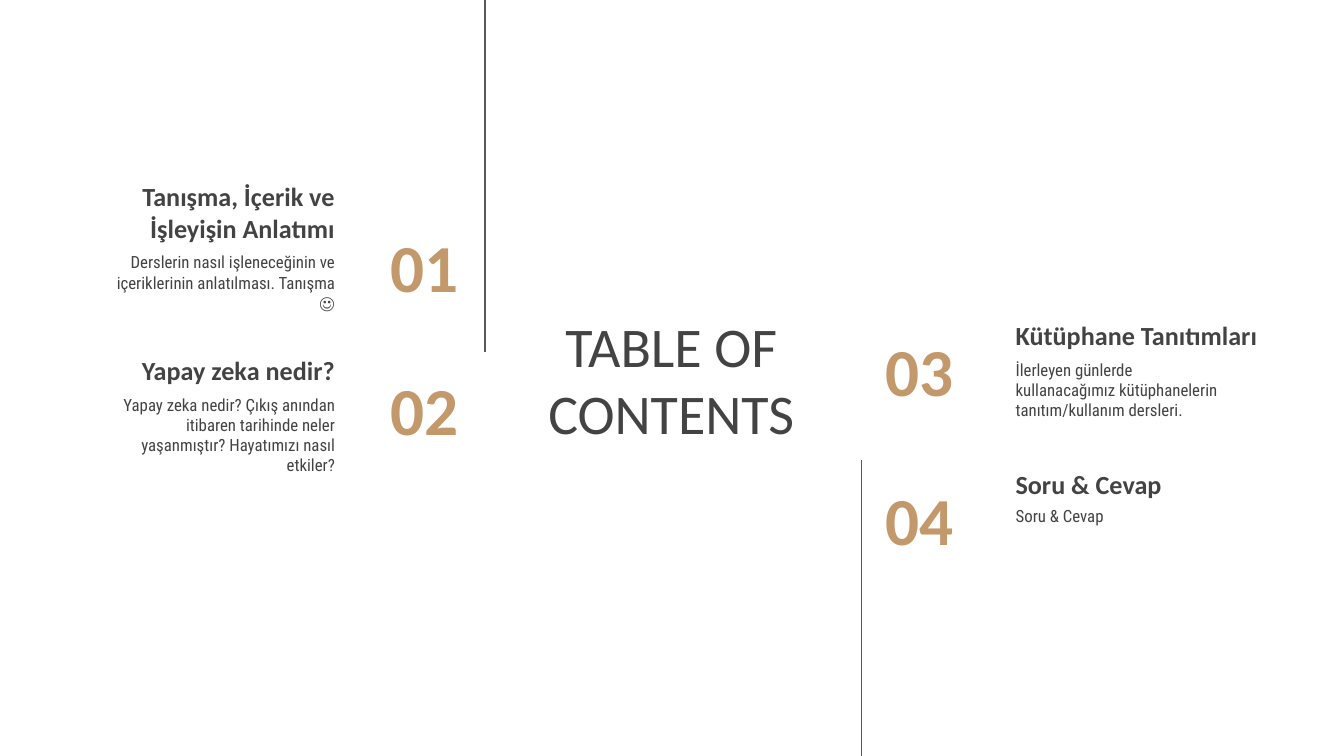
import pptx
import pptx.util
import pptx.dml.color
import pptx.enum.shapes
import pptx.enum.text
import pptx.oxml.ns
import lxml.etree

Pt = pptx.util.Pt
ALIGN = pptx.enum.text.PP_ALIGN
ANCHOR = pptx.enum.text.MSO_ANCHOR

COLORS = {"text": "434343", "number": "C3996C", "line": "595959"}
HEADING_FONT = "Calibri"
BODY_FONT = "Roboto Condensed"
BOX_HEIGHT = 45.5
BODY_OFFSET = 35.6

LEFT = {"align": ALIGN.RIGHT, "heading": (31, 155.5), "body": (47.5, 139),
        "number": (165.5, 87), "number_offset": 27.4}
RIGHT = {"align": ALIGN.LEFT, "heading": (537, 155.5), "body": (537, 132),
         "number": (467.5, 84), "number_offset": 25.2}

SECTIONS = [
    (LEFT, 92.2, "01", "Tanışma, İçerik ve\nİşleyişin Anlatımı",
     "Derslerin nasıl işleneceğinin ve içeriklerinin anlatılması. Tanışma ☺"),
    (LEFT, 168.5, "02", "Yapay zeka nedir?",
     "Yapay zeka nedir? Çıkış anından itibaren tarihinde neler yaşanmıştır? "
     "Hayatımızı nasıl etkiler?"),
    (RIGHT, 149.8, "03", "Kütüphane Tanıtımları",
     "İlerleyen günlerde kullanacağımız kütüphanelerin tanıtım/kullanım dersleri."),
    (RIGHT, 229.7, "04", "Soru & Cevap", "Soru & Cevap"),
]


def rgb(name):
    return pptx.dml.color.RGBColor.from_string(COLORS[name])


def add_text(s, text, x, y, w, h, size, align, anchor,
             font=HEADING_FONT, color="text", bold=False):
    tf = s.shapes.add_textbox(Pt(x), Pt(y), Pt(w), Pt(h)).text_frame
    tf.word_wrap = True
    tf.vertical_anchor = anchor
    tf.margin_left = tf.margin_right = Pt(7.2)
    tf.margin_top = tf.margin_bottom = Pt(7.2)
    p = tf.paragraphs[0]
    p.text = text
    p.alignment = align
    p.font.name = font
    p.font.size = Pt(size)
    p.font.bold = bold
    p.font.color.rgb = rgb(color)


def add_vertical_line(s, x, top, bottom):
    line = s.shapes.add_connector(
        pptx.enum.shapes.MSO_CONNECTOR.STRAIGHT, Pt(x), Pt(top), Pt(x), Pt(bottom))
    line.line.color.rgb = rgb("line")
    line.line.width = Pt(0.75)
    sp_pr = line._element.spPr
    lxml.etree.SubElement(sp_pr, pptx.oxml.ns.qn("a:effectLst"))


def add_section(s, side, y, number, heading, body):
    align = side["align"]
    x, w = side["heading"]
    add_text(s, heading, x, y, w, BOX_HEIGHT, 14, align, ANCHOR.BOTTOM, bold=True)
    x, w = side["body"]
    add_text(s, body, x, y + BODY_OFFSET, w, BOX_HEIGHT, 9, align, ANCHOR.TOP,
             font=BODY_FONT)
    x, w = side["number"]
    add_text(s, number, x, y + side["number_offset"], w, BOX_HEIGHT, 36, align,
             ANCHOR.MIDDLE, color="number", bold=True)


def main():
    prs = pptx.Presentation()
    prs.slide_width, prs.slide_height = Pt(720), Pt(405)
    s = prs.slides.add_slide(prs.slide_layouts[6])
    add_text(s, "TABLE OF CONTENTS", 266.4, 165.6, 186.5, 74.2, 30,
             ALIGN.CENTER, ANCHOR.MIDDLE)
    add_vertical_line(s, 259.9, 0, 188.6)
    add_vertical_line(s, 461.5, 246.2, 405)
    for section in SECTIONS:
        add_section(s, *section)
    prs.save("out.pptx")


if __name__ == "__main__":
    main()
